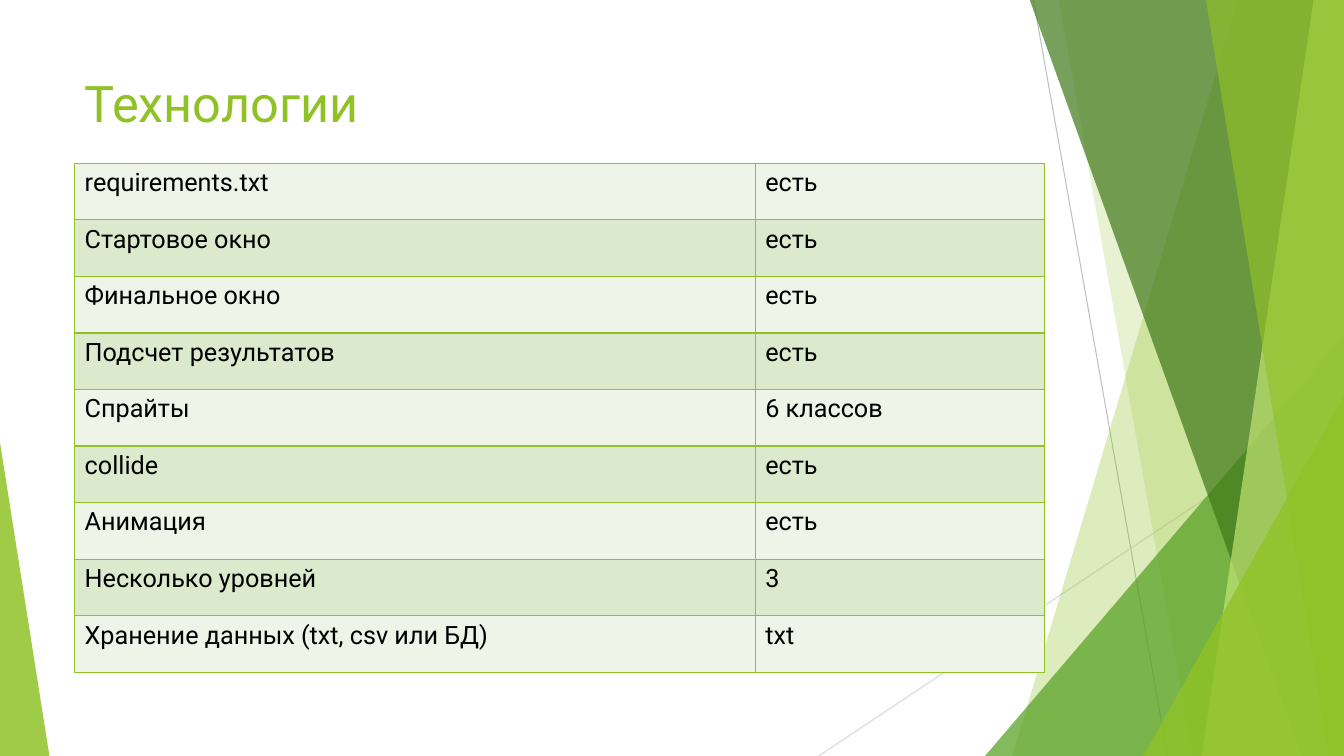
from pptx import Presentation
from pptx.dml.color import RGBColor as RGB
from pptx.enum.shapes import MSO_CONNECTOR as CONN, MSO_SHAPE as SHAPE
from pptx.enum.text import MSO_ANCHOR as ANCHOR
from pptx.oxml.ns import qn
from pptx.util import Inches, Pt
from lxml.etree import SubElement

W, H = 13.33, 7.5
FONT = "Roboto"
COLORS = {
    "lime": "90C226", "green": "54A021", "dark": "3F7819", "pale": "C0E474",
    "gray": "BFBFBF", "silver": "D9D9D9", "black": "000000",
    "band_light": "EEF4E8", "band_dark": "DBE9CD",
}


def paint(shape, color, opacity):
    shape.shadow.inherit = False
    shape.line.fill.background()
    shape.fill.solid()
    shape.fill.fore_color.rgb = RGB.from_string(COLORS[color])
    clr = shape.fill._xPr.find(qn("a:solidFill"))[0]
    SubElement(clr, qn("a:alpha"), val=str(opacity * 1000))


def write(tf, text, size, color):
    tf.text = text
    font = tf.paragraphs[0].runs[0].font
    font.name, font.size = FONT, Pt(size)
    font.color.rgb = RGB.from_string(COLORS[color])


prs = Presentation()
prs.slide_width, prs.slide_height = Inches(W), Inches(H)
s = prs.slides.add_slide(prs.slide_layouts[6])

# Thin background lines
for x1, y1, x2, color in [(10.25, 0, 11.58, "gray"), (W, 4.03, 8.12, "silver")]:
    line = s.shapes.add_connector(CONN.STRAIGHT, *map(Inches, (x1, y1, x2, H)))
    line.line.width = Pt(0.75)
    line.line.color.rgb = RGB.from_string(COLORS[color])
    SubElement(line._element.spPr, qn("a:effectLst"))

# Facets: bands run from top x to bottom x and on to the right edge;
# triangles have left, top, width and the side of their apex
facets = [
    ("band", (12.28, 10.04), "lime", 30),
    ("band", (10.5, 11.83), "lime", 20),
    ("triangle", (9.77, 3.33, 3.56, 1), "green", 72),
    ("band", (10.21, 12.91), "dark", 70),
    ("band", (13.03, 11.92), "pale", 70),
    ("band", (11.96, 13.18), "lime", 65),
    ("triangle", (11.34, 3.93, 1.99, 1), "lime", 80),
    ("triangle", (0, 4.39, 0.49, 0), "lime", 85),
]
for kind, geometry, color, opacity in facets:
    if kind == "band":
        top_x, bottom_x = geometry
        corners = [(top_x, -0.01), (W, -0.01), (W, H), (bottom_x, H)]
        points = [(Inches(x), Inches(y)) for x, y in corners]
        builder = s.shapes.build_freeform(*points[0])
        builder.add_line_segments(points[1:], close=True)
        sp = builder.convert_to_shape()
    else:
        left, top, width, apex = geometry
        box = map(Inches, (left, top, width, H - top))
        sp = s.shapes.add_shape(SHAPE.ISOSCELES_TRIANGLE, *box)
        sp.adjustments[0] = apex
    paint(sp, color, opacity)

# Title
title = s.shapes.add_textbox(*map(Inches, (0.74, 0.67, 9.4, 1.44)))
tf = title.text_frame
tf.word_wrap = True
tf.vertical_anchor = ANCHOR.TOP
write(tf, "Технологии", 36, "lime")

# Table of technologies
rows = [
    ("requirements.txt", "есть"),
    ("Стартовое окно", "есть"),
    ("Финальное окно", "есть"),
    ("Подсчет результатов", "есть"),
    ("Спрайты", "6 классов"),
    ("collide", "есть"),
    ("Анимация", "есть"),
    ("Несколько уровней", "3"),
    ("Хранение данных (txt, csv или БД)", "txt"),
]
frame = s.shapes.add_table(len(rows), 2, *map(Inches, (0.74, 1.62, 9.62, 5.05)))
table = frame.table
table.first_row = table.horz_banding = False
for column, width in zip(table.columns, (6.75, 2.87)):
    column.width = Inches(width)

for i, row in enumerate(rows):
    for j, text in enumerate(row):
        cell = table.cell(i, j)
        write(cell.text_frame, text, 18, "black")
        tcPr = cell._tc.get_or_add_tcPr()
        for side in ("lnL", "lnR", "lnT", "lnB"):
            ln = SubElement(tcPr, qn(f"a:{side}"), w=str(Pt(1)))
            fill = SubElement(ln, qn("a:solidFill"))
            SubElement(fill, qn("a:srgbClr"), val=COLORS["lime"])
        cell.fill.solid()
        band = "band_dark" if i % 2 else "band_light"
        cell.fill.fore_color.rgb = RGB.from_string(COLORS[band])

prs.save("out.pptx")
